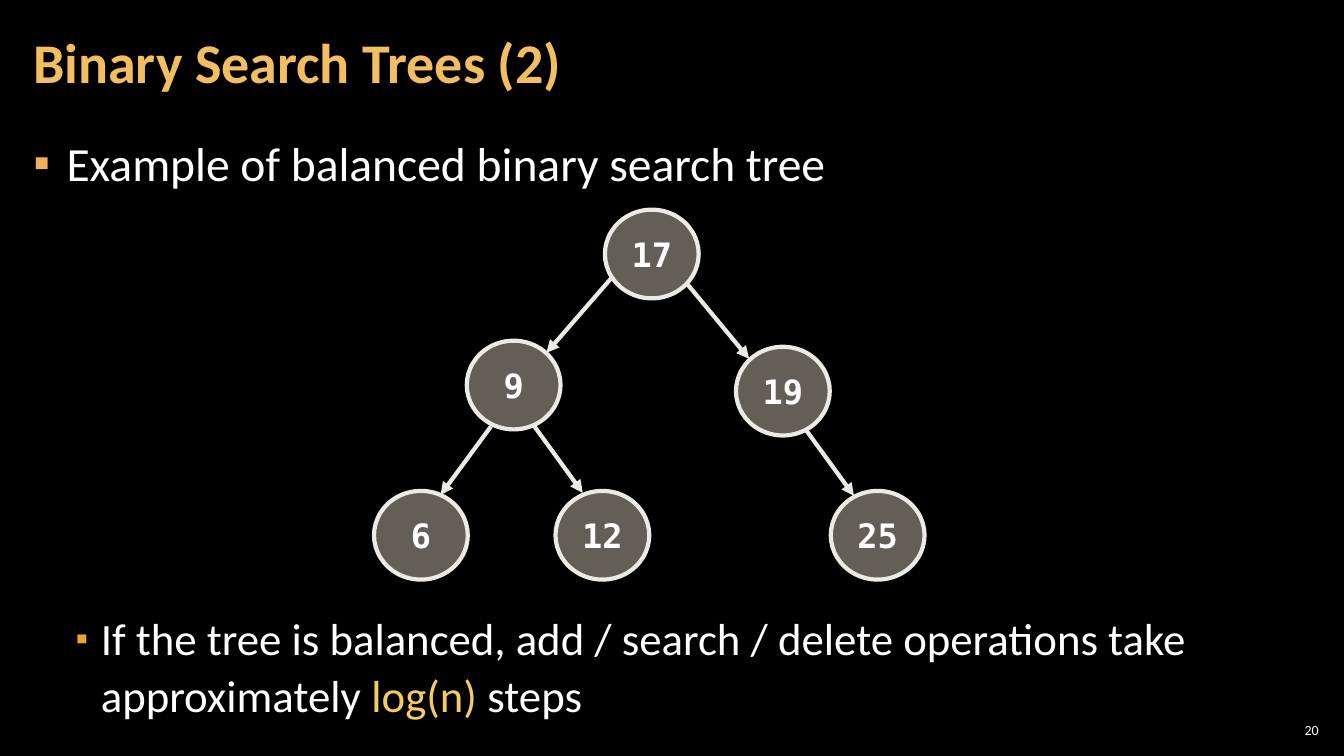
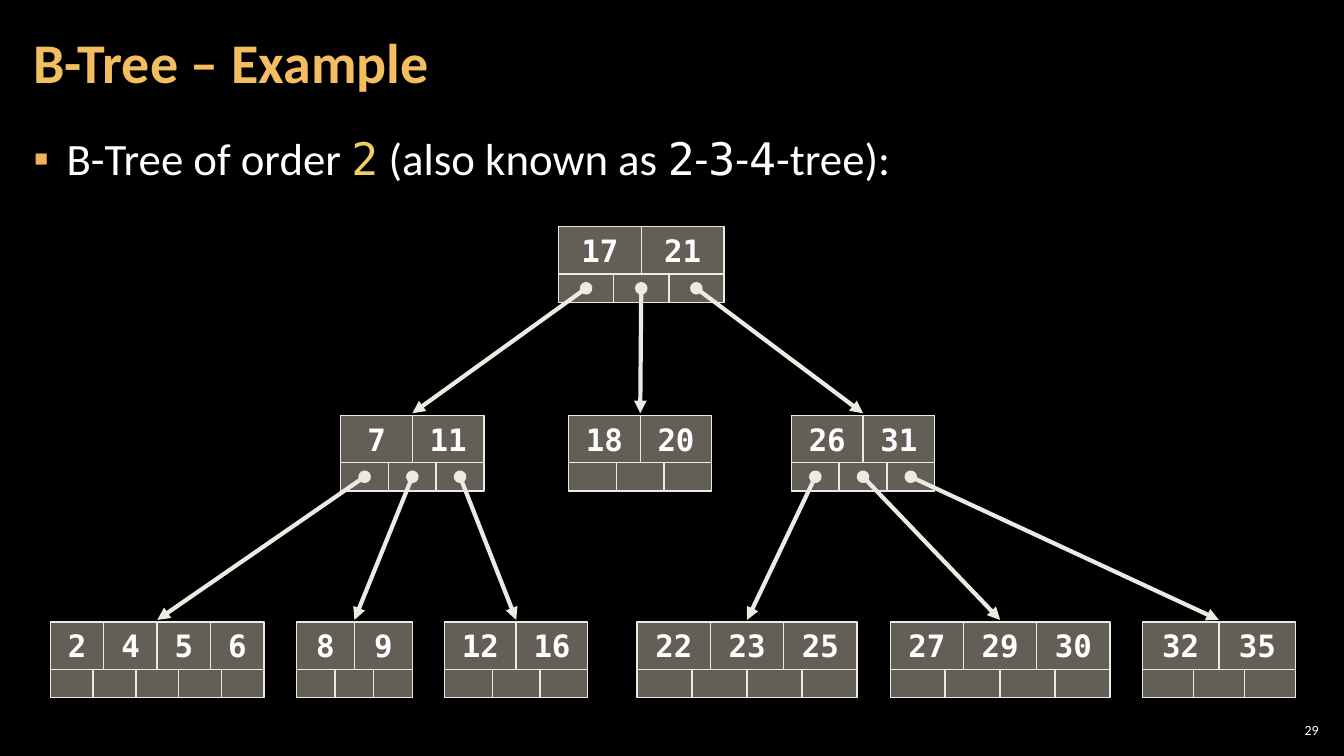
from dataclasses import dataclass

from lxml.etree import SubElement
from pptx import Presentation
from pptx.dml.color import RGBColor as RGB
from pptx.enum.shapes import MSO_CONNECTOR as CONNECTOR, MSO_SHAPE as SHAPE
from pptx.enum.text import MSO_ANCHOR as ANCHOR, MSO_AUTO_SIZE as AUTO_SIZE, PP_ALIGN as ALIGN
from pptx.oxml.ns import qn
from pptx.util import Inches, Pt


@dataclass(frozen=True)
class Theme:
    background: RGB = RGB(0x00, 0x00, 0x00)
    text: RGB = RGB(0xFF, 0xFF, 0xFF)
    title: RGB = RGB(0xF3, 0xBE, 0x60)
    accent: RGB = RGB(0xF3, 0xCD, 0x60)
    bullets: tuple = ("F2B254", "F0A22E")
    node: RGB = RGB(0xC7, 0xBF, 0xAC)
    outline: RGB = RGB(0xEC, 0xEA, 0xE3)
    font: str = "Calibri"
    mono: str = "DejaVu Sans Mono"
    title_size: Pt = Pt(40)
    lead_size: Pt = Pt(34)
    body_size: Pt = Pt(32)
    circle_size: Pt = Pt(24)
    key_size: Pt = Pt(22)
    number_size: Pt = Pt(10)
    thick: Pt = Pt(3)
    thin: Pt = Pt(1)


theme = Theme()


def add_cell(slide, outline, box, line_width, key="", size=theme.key_size):
    """Draw one half-transparent tree cell, with its key if it has one."""
    cell = slide.shapes.add_shape(outline, *map(Inches, box))
    cell.shadow.inherit = False
    cell.fill.solid()
    cell.fill.fore_color.rgb = theme.node
    tint = cell.element.spPr.find(qn("a:solidFill"))[0]
    SubElement(tint, qn("a:alpha")).set("val", "50000")
    cell.line.color.rgb = theme.outline
    cell.line.width = line_width
    if key:
        frame = cell.text_frame
        frame.text = str(key)
        frame.word_wrap = False
        frame.vertical_anchor = ANCHOR.MIDDLE
        label = frame.paragraphs[0]
        label.alignment = ALIGN.CENTER
        label.font.name, label.font.size, label.font.bold = theme.mono, size, True
        label.font.color.rgb = theme.text


def add_arrow(slide, start, end, head="none"):
    arrow = slide.shapes.add_connector(CONNECTOR.STRAIGHT, *map(Inches, start + end))
    arrow.line.color.rgb = theme.outline
    arrow.line.width = theme.thick
    properties = arrow.element.spPr
    stroke = properties.find(qn("a:ln"))
    SubElement(stroke, qn("a:headEnd")).set("type", head)
    SubElement(stroke, qn("a:tailEnd")).set("type", "triangle")
    SubElement(properties, qn("a:effectLst"))


prs = Presentation()
prs.slide_width, prs.slide_height = Inches(13.33), Inches(7.5)
prs.slide_master.background.fill.solid()
prs.slide_master.background.fill.fore_color.rgb = theme.background

# Each bullet: level, type size, line spacing, points before, runs of (text, colour, font)
PLAIN = (theme.text, theme.font)
MONO = (theme.text, theme.mono)
pages = [
    ("Binary Search Trees (2)", 20, [
        (0, theme.lead_size, 1.05, 6, [("Example of balanced binary search tree", *PLAIN)]),
        (1, theme.body_size, 1.05, 292, [
            ("If the tree is balanced, add / search / delete operations take approximately ", *PLAIN),
            ("log(n) ", theme.accent, theme.font),
            ("steps", *PLAIN)]),
    ]),
    ("B-Tree – Example", 29, [
        (0, theme.body_size, 1.0, 6, [
            ("B-Tree of order ", *PLAIN), ("2", theme.accent, theme.mono),
            (" (also known as ", *PLAIN), ("2", *MONO), ("-", *PLAIN), ("3", *MONO),
            ("-", *PLAIN), ("4", *MONO), ("-tree):", *PLAIN)]),
    ]),
]
BULLET_INDENTS = [(0.33, 0.33, 100), (0.67, 0.25, 80)]  # margin, hanging, symbol percent

slides = []
for heading, page_number, bullets in pages:
    slide = prs.slides.add_slide(prs.slide_layouts[1])
    slides.append(slide)
    title, body = slide.shapes.title, slide.placeholders[1]
    number = slide.shapes.add_textbox(0, 0, 0, 0)
    for part, box, side, anchor in [
        (title, (0.21, 0.04, 10.47, 1.21), 0.12, ANCHOR.MIDDLE),
        (body, (0.21, 1.26, 12.91, 6.09), 0.12, ANCHOR.TOP),
        (number, (12.65, 7.14, 0.47, 0.21), 0.04, ANCHOR.MIDDLE),
    ]:
        part.left, part.top, part.width, part.height = map(Inches, box)
        frame = part.text_frame
        frame.word_wrap, frame.auto_size = True, AUTO_SIZE.NONE
        frame.vertical_anchor = anchor
        frame.margin_left = frame.margin_right = Inches(side)
        frame.margin_top = frame.margin_bottom = Inches(0.04)

    for part, words, size, colour, bold, align in [
        (title, heading, theme.title_size, theme.title, True, ALIGN.LEFT),
        (number, str(page_number), theme.number_size, theme.text, False, ALIGN.RIGHT),
    ]:
        part.text_frame.text = words
        line = part.text_frame.paragraphs[0]
        line.alignment = align
        line.font.name, line.font.size, line.font.bold = theme.font, size, bold
        line.font.color.rgb = colour
    title.text_frame.paragraphs[0].line_spacing = 0.9

    for index, (level, size, spacing, before, runs) in enumerate(bullets):
        frame = body.text_frame
        bullet = frame.add_paragraph() if index else frame.paragraphs[0]
        bullet.level, bullet.line_spacing = level, spacing
        bullet.space_before, bullet.space_after = Pt(before), Pt(6)
        margin, hanging, percent = BULLET_INDENTS[level]
        layout = bullet._p.get_or_add_pPr()
        layout.set("marL", str(Inches(margin)))
        layout.set("indent", str(-Inches(hanging)))
        colour = SubElement(layout, qn("a:buClr"))
        SubElement(colour, qn("a:srgbClr")).set("val", theme.bullets[level])
        SubElement(layout, qn("a:buSzPct")).set("val", str(percent * 1000))
        SubElement(layout, qn("a:buChar")).set("char", "▪")
        bullet.font.size = size
        for words, colour, font in runs:
            run = bullet.add_run()
            run.text = words
            run.font.name, run.font.color.rgb = font, colour

binary_slide, btree_slide = slides

# Binary search tree
circles = {17: (6, 2.08), 19: (7.3, 3.44), 9: (4.63, 3.38),
           6: (3.71, 4.87), 12: (5.51, 4.87), 25: (8.24, 4.87)}
for key, corner in circles.items():
    add_cell(binary_slide, SHAPE.OVAL, (*corner, 0.93, 0.88), theme.thick, key, theme.circle_size)
for start, end in [
    ((6.08, 2.74), (5.42, 3.5)), ((6.81, 2.81), (7.43, 3.56)),
    ((4.87, 4.23), (4.37, 4.91)), ((5.3, 4.23), (5.78, 4.89)),
    ((7.99, 4.26), (8.47, 4.92)),
]:
    add_arrow(binary_slide, start, end)

# B-tree: rows of (left, width, keys), each node with one more pointer than keys
KEY_HEIGHT, POINTER_HEIGHT = 0.47, 0.28
levels = [
    (2.25, [(5.54, 1.64, (17, 21))]),
    (4.12, [(3.38, 1.42, (7, 11)), (5.64, 1.42, (18, 20)), (7.85, 1.42, (26, 31))]),
    (6.17, [(0.5, 2.12, (2, 4, 5, 6)), (2.94, 1.15, (8, 9)), (4.41, 1.42, (12, 16)),
            (6.32, 2.18, (22, 23, 25)), (8.83, 2.18, (27, 29, 30)), (11.33, 1.52, (32, 35))]),
]
children = {17: (7, 18, 26), 7: (2, 8, 12), 26: (22, 27, 32)}  # by first key
entries, pointers = {}, {}
for top, nodes in levels:
    pointer_top = top + KEY_HEIGHT
    for left, width, keys in nodes:
        key_width = width / len(keys)
        pointer_width = width / (len(keys) + 1)
        for column, key in enumerate(keys):
            box = (left + column * key_width, top, key_width, KEY_HEIGHT)
            add_cell(btree_slide, SHAPE.RECTANGLE, box, theme.thin, key)
        entries[keys[0]] = (left + width / 2, top - 0.02)
        pointers[keys[0]] = []
        for column in range(len(keys) + 1):
            x = left + column * pointer_width
            box = (x, pointer_top, pointer_width, POINTER_HEIGHT)
            add_cell(btree_slide, SHAPE.RECTANGLE, box, theme.thin)
            pointers[keys[0]].append((x + pointer_width / 2, pointer_top + POINTER_HEIGHT / 2))
for parent, targets in children.items():
    for start, child in zip(pointers[parent], targets):
        add_arrow(btree_slide, start, entries[child], head="oval")

prs.save("out.pptx")
